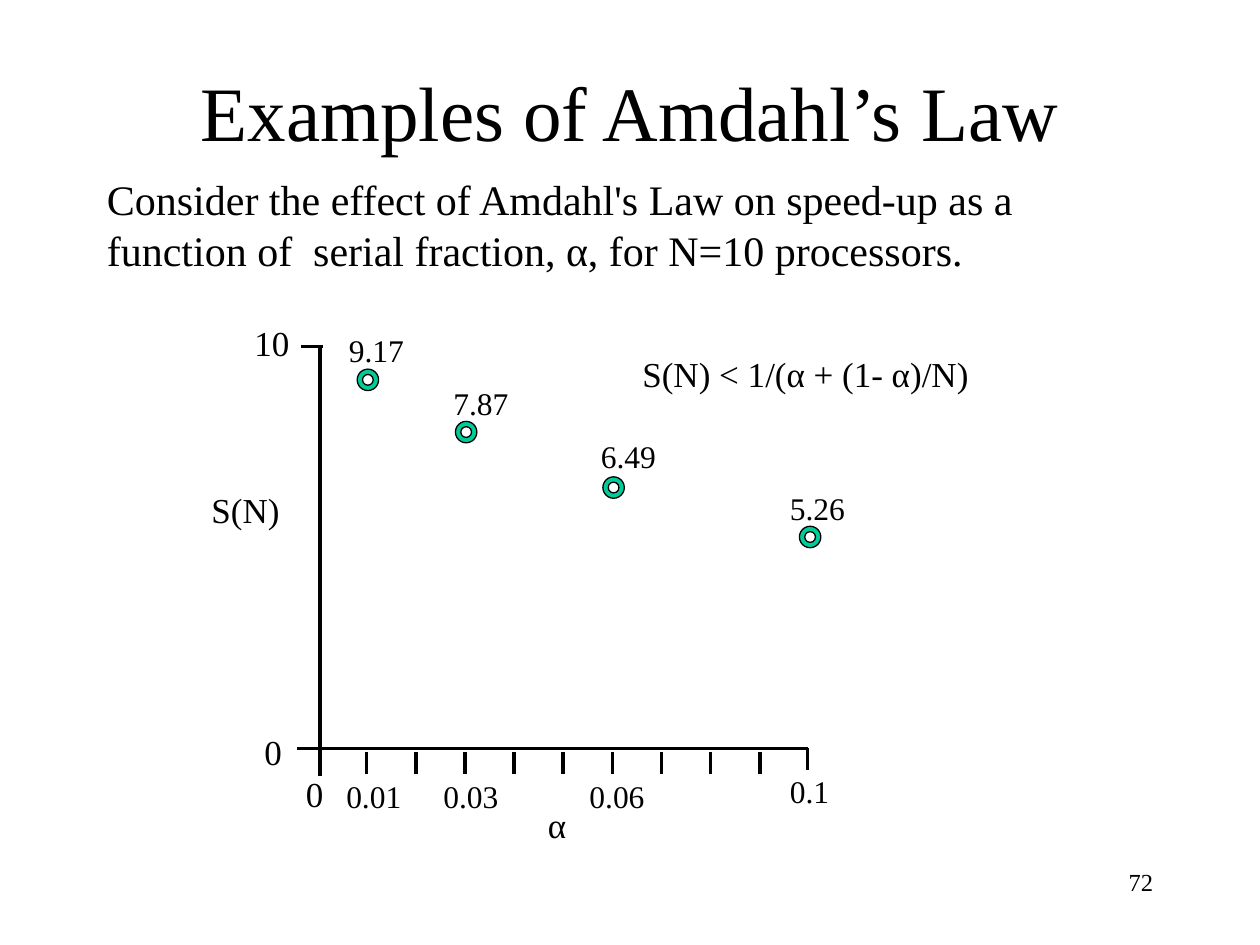
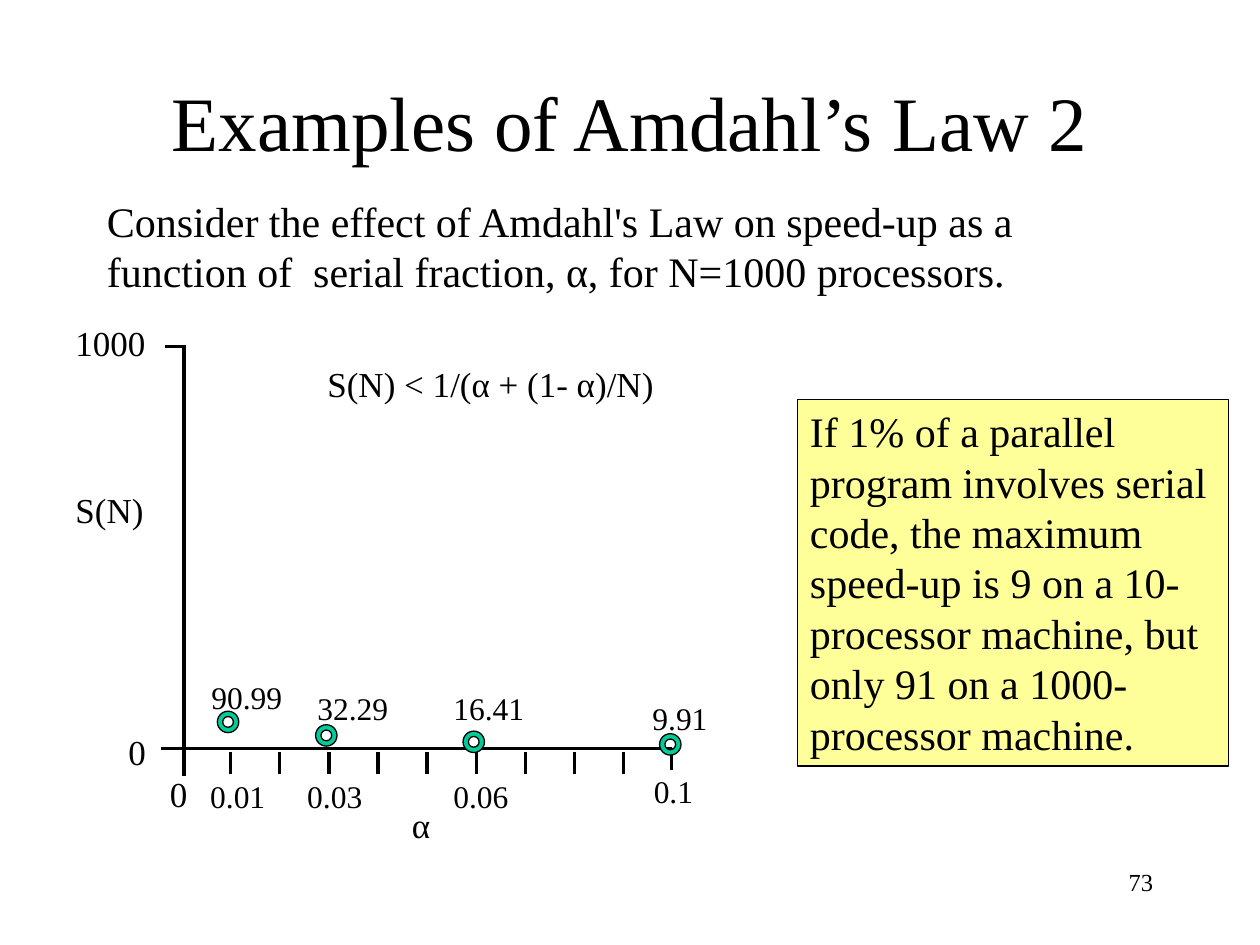
from lxml import etree
from pptx import Presentation
from pptx.dml.color import RGBColor
from pptx.enum import shapes, text
from pptx.oxml.ns import qn
from pptx.util import Inches, Pt

BLACK = RGBColor(0x00, 0x00, 0x00)
GREEN = RGBColor(0x00, 0xCC, 0x99)
YELLOW = RGBColor(0xFF, 0xFF, 0x99)
FONT = "Times New Roman"
LEFT, MID, RIGHT = text.PP_ALIGN.LEFT, text.PP_ALIGN.CENTER, text.PP_ALIGN.RIGHT
TOP, BASE, STEP, DOT = 2.75, 5.94, 0.39, 0.17


class Deck:
    def __init__(self):
        self.show = Presentation()
        self.show.slide_width, self.show.slide_height = Inches(10), Inches(7.5)
        self.slide = None

    def page(self, title, top, number):
        self.slide = self.show.slides.add_slide(self.show.slide_layouts[6])
        self.label(number, 7.17, 6.83, 2.08, 0.5, 14, RIGHT)
        box = self.label(title, 0.75, top, 8.5, 1.25, 44, MID)
        box.text_frame.vertical_anchor = text.MSO_ANCHOR.MIDDLE

    def letter(self, shape, words, size, align=LEFT, wrap=True):
        frame = shape.text_frame
        frame.text = words
        frame.word_wrap = wrap
        frame.vertical_anchor = text.MSO_ANCHOR.TOP
        for para in frame.paragraphs:
            para.alignment = align
            for run in para.runs:
                run.font.name, run.font.size = FONT, Pt(size)
                run.font.color.rgb = BLACK

    def label(self, words, x, y, w, h, size=20, align=LEFT, wrap=True):
        box = self.slide.shapes.add_textbox(Inches(x), Inches(y), Inches(w), Inches(h))
        self.letter(box, words, size, align, wrap)
        return box

    def mark(self, words, x, y, w=0.64):
        self.label(words, x, y, w, 0.4, 18, wrap=False)

    def line(self, x1, y1, x2, y2):
        line = self.slide.shapes.add_connector(
            shapes.MSO_CONNECTOR.STRAIGHT, Inches(x1), Inches(y1), Inches(x2), Inches(y2))
        line.line.color.rgb, line.line.width = BLACK, Pt(2)
        etree.SubElement(line._element.spPr, qn("a:effectLst"))

    def shape(self, kind, x, y, w, h, fill):
        shape = self.slide.shapes.add_shape(kind, Inches(x), Inches(y), Inches(w), Inches(h))
        shape.shadow.inherit = False
        shape.fill.solid()
        shape.fill.fore_color.rgb = fill
        shape.line.color.rgb, shape.line.width = BLACK, Pt(0.75)
        return shape

    def note(self, words, x, y, w, h):
        box = self.shape(shapes.MSO_SHAPE.RECTANGLE, x, y, w, h, YELLOW)
        self.letter(box, words, 24)

    def axes(self, x):
        end = x + 3.87
        self.line(x, TOP, x, BASE)
        self.line(x, BASE, end, BASE)
        self.line(x + 0.02, TOP, x - 0.15, TOP)
        self.line(x, BASE, x - 0.18, BASE)
        self.line(x, 6.16, x, BASE)
        self.line(end, BASE, end, 6.11)
        for k in range(1, 10):
            tick = x - 0.02 + STEP * k
            self.line(tick, 5.97, tick, 6.14)
        self.label("α", x + 1.71, 6.33, 0.49, 0.47)
        self.label("0", x - 0.54, 5.75, 0.5, 0.54)
        self.label("0", x - 0.21, 6.08, 0.58, 0.58)
        self.label("S(N)", x - 0.96, 3.83, 0.75, 0.52)
        for words, dx in (("0.01", 0.11), ("0.03", 0.88), ("0.06", 2.04)):
            self.mark(words, x + dx, 6.12)
        self.mark("0.1", x + 3.63, 6.08, 0.51)

    def dots(self, x, peak, points):
        for k, value, left, top, drop in points:
            cx = x + STEP * k
            cy = BASE - (BASE - TOP) * value / peak + drop
            self.shape(shapes.MSO_SHAPE.DONUT, cx - DOT / 2, cy - DOT / 2, DOT, DOT, GREEN)
            self.mark(f"{value:.2f}", left, top, 0.76 if value >= 10 else 0.64)

    def intro(self, count, y, w):
        self.label("Consider the effect of Amdahl's Law on speed-up as a function of  "
                   f"serial fraction, α, for N={count} processors.", 0.75, y, w, 0.91, 24)

    def rule(self, x, y):
        self.label("S(N) < 1/(α + (1- α)/N)", x, y, 2.93, 0.44)


def main():
    deck = Deck()

    deck.page("Examples of Amdahl’s Law", 0.25, "72")
    deck.intro(10, 1.33, 8.35)
    deck.axes(2.54)
    deck.label("10", 1.92, 2.5, 0.6, 0.58)
    deck.rule(5, 2.75)
    deck.dots(2.53, 10, [(1, 9.17, 2.67, 2.58, 0), (3, 7.87, 3.5, 3, 0),
                         (6, 6.49, 4.67, 3.42, 0), (10, 5.26, 6.17, 3.83, 0)])

    deck.page("Examples of Amdahl’s Law 2", 0.33, "73")
    deck.intro(1000, 1.5, 8.08)
    deck.axes(1.46)
    deck.label("1000", 0.5, 2.5, 0.92, 0.58)
    deck.rule(2.5, 2.83)
    deck.dots(1.42, 1000, [(1, 90.99, 1.58, 5.33, 0.08), (3, 32.29, 2.42, 5.42, 0),
                           (6, 16.41, 3.5, 5.42, 0), (10, 9.91, 5.08, 5.5, 0)])
    deck.note("If 1% of a parallel program involves serial code, the maximum speed-up "
              "is 9 on a 10-processor machine, but only 91 on a 1000-processor machine.",
              6.33, 3.17, 3.42, 2.91)

    deck.show.save("out.pptx")


if __name__ == "__main__":
    main()
